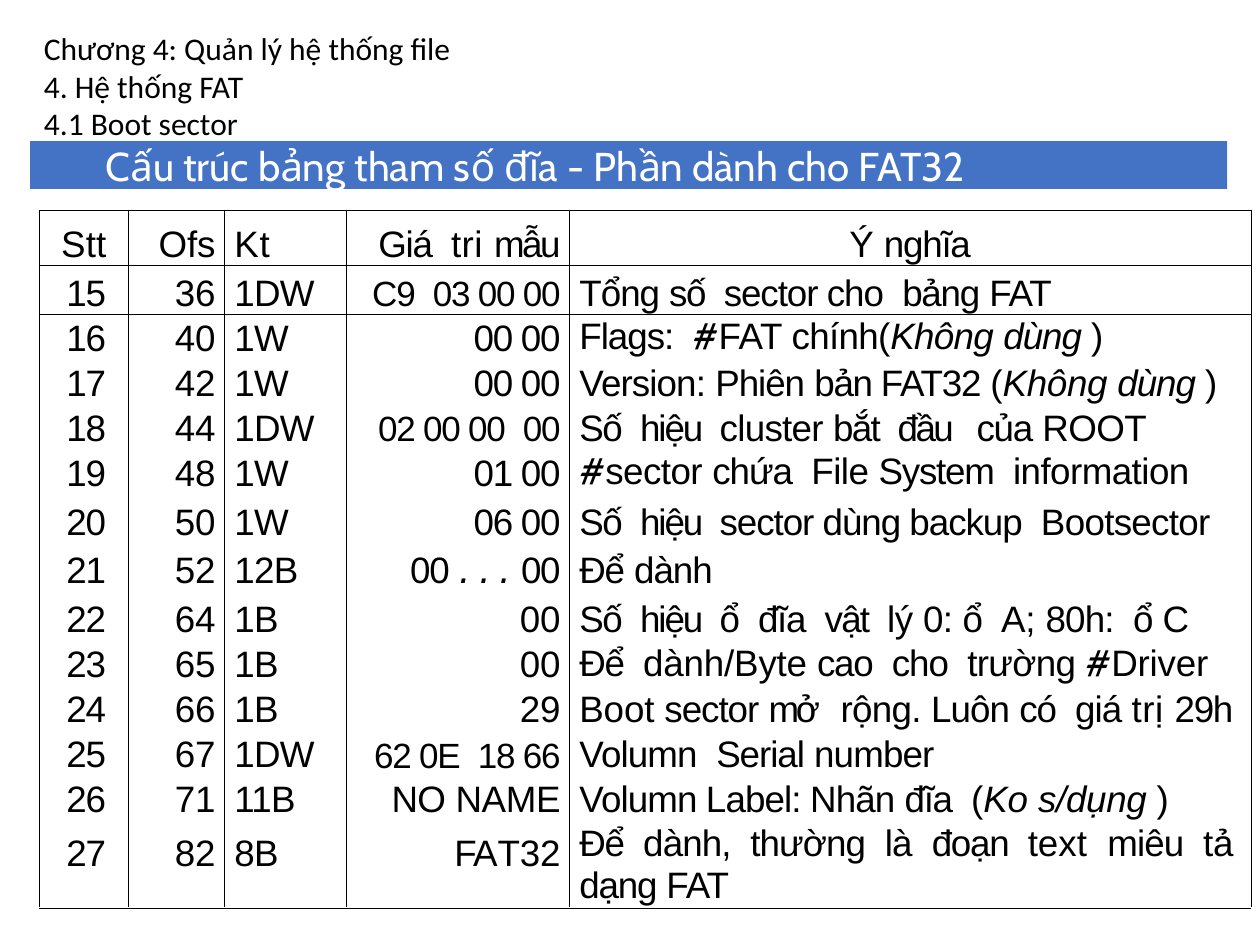
from dataclasses import dataclass
from itertools import groupby

from lxml import etree
from pptx import Presentation
from pptx.dml.color import RGBColor
from pptx.enum.shapes import MSO_CONNECTOR, MSO_SHAPE
from pptx.enum.text import MSO_ANCHOR, PP_ALIGN
from pptx.oxml.ns import qn
from pptx.util import Inches, Pt

LEFT, CENTER, RIGHT = PP_ALIGN.LEFT, PP_ALIGN.CENTER, PP_ALIGN.RIGHT
BOTTOM, MIDDLE = MSO_ANCHOR.BOTTOM, MSO_ANCHOR.MIDDLE
RECTANGLE, STRAIGHT = MSO_SHAPE.RECTANGLE, MSO_CONNECTOR.STRAIGHT
BLANK_LAYOUT = 6
GRID_COLUMNS, GRID_ROWS = 100, 75
SPACE_SHARE = 0.278


@dataclass(frozen=True)
class Theme:
    """Colours, typefaces and type sizes of the slide."""

    ink: str = "000000"
    paper: str = "FFFFFF"
    band: str = "4472C4"
    heading_face: str = "Calibri"
    title_face: str = "Cabin"
    body_face: str = "Arial"
    dots_face: str = "DejaVu Sans"
    heading_size: float = 18
    title_size: float = 23
    cell_size: float = 21
    bytes_size: float = 20
    cell_leading: float = 12
    border: float = 0.5
    rule: float = 0.4


HEADINGS = ["Chương 4: Quản lý hệ thống file", "4. Hệ thống FAT", "4.1 Boot sector"]
TITLE = "Cấu trúc bảng tham số đĩa - Phần dành cho FAT32"
COLUMN_WIDTHS = [7.1, 7.6, 9.7, 17.7, 54.1]
ROW_SHARES = [0.44, 0.39] + [0.36] * 4 + [0.39] * 3 + [0.36] * 4 + [0.69]
ALIGNMENTS = [CENTER, RIGHT, LEFT, RIGHT, LEFT]
INDENTS = [0.04, 0, 0.08, 0, 0.08]
HEADER = [
    [("Stt", 0.1)],
    [("Ofs", -0.1)],
    [("Kt", 0.5)],
    [("Giá_ ", -0.7), ("tri ", 0.3), ("mẫu", -1.4)],
    [("Ý ", -0.1), ("nghĩa", -0.7)],
]
FIELDS = [
    ("15", "36", "1DW", [("C9_ 03 00 00", -0.7)],
     [[("Tổng ", -0.6), ("số_ ", -0.9), ("sector cho_ ", -0.6), ("bảng ", -0.7), ("FAT", -0.6)]]),
    ("16", "40", "1W", [("00 00", -0.7)],
     [[("Flags:_ ", -0.6), ("#", -0.2, "mark"), ("FAT ", -0.2), ("chính(", -0.4),
       ("Không ", -0.4, "italic"), ("dùng ", -0.6, "italic"), (")", 0.5)]]),
    ("17", "42", "1W", [("00 00", -0.7)],
     [[("Version: ", -0.5), ("Phiên ", -0.6), ("bản FAT32 ", -0.7), ("(", -0.2),
       ("Không ", -0.2, "italic"), ("dùng ", -0.6, "italic"), (")", 0.5)]]),
    ("18", "44", "1DW", [("02 00 00_ 00", -0.7)],
     [[("Số_ ", -0.9), ("hiệu_ ", -1.2), ("cluster ", -0.4), ("bắt_ ", -1), ("đầu__ ", -1.5),
       ("của ", -0.7), ("ROOT", -0.3)]]),
    ("19", "48", "1W", [("01 00", -0.7)],
     [[("#", -0.3, "mark"), ("sector ", -0.3), ("chứa_ ", -0.6), ("File ", -0.3),
       ("System_ ", -0.7), ("information", -0.3)]]),
    ("20", "50", "1W", [("06 00", -0.7)],
     [[("Số_ ", -0.9), ("hiệu_ ", -1.2), ("sector dùng backup_ ", -0.6), ("Bootsector", -0.4)]]),
    ("21", "52", "12B", [("00 ", -0.7), (". . . ", -0.9, "dots"), ("00", -0.7)],
     [[("Để ", -0.7), ("dành", -0.6)]]),
    ("22", "64", "1B", [("00", -0.1)],
     [[("Số_ ", -0.9), ("hiệu_ ", -1.2), ("ổ_ đĩa_ ", -0.7), ("vật_ ", -1), ("lý ", -0.2),
       ("0: ", -0.4), ("ổ_ ", -0.7), ("A; ", -0.1), ("80h:_ ", -0.5), ("ổ ", -0.7), ("C", -0.9)]]),
    ("23", "65", "1B", [("00", -0.1)],
     [[("Để_ ", -0.7), ("dành/Byte ", -0.1), ("cao_ ", -0.7), ("cho_ ", -0.6),
       ("trường ", -0.4), ("#", -0.1, "mark"), ("Driver", -0.1)]]),
    ("24", "66", "1B", [("29", -0.1)],
     [[("Boot ", -0.1), ("sector ", -0.6), ("mở__ ", -1.9), ("rộng. ", -0.4), ("Luôn ", -0.5),
       ("có_ ", -0.7), ("giá ", -0.5), ("trị ", 0.3), ("29h", -0.7)]]),
    ("25", "67", "1DW", [("62 0E_ 18 66", -0.7)],
     [[("Volumn_ ", -0.5), ("Serial ", -0.6), ("number", -0.5)]]),
    ("26", "71", "11B", [("NO ", -0.4), ("NAME", -0.2)],
     [[("Volumn Label: Nhãn ", -0.5), ("đĩa_ ", -0.7), ("(", -0.1),
       ("Ko ", -0.1, "italic"), ("s/dụng ", -0.2, "italic"), (")", 0.5)]]),
    ("27", "82", "8B", [("FA", -0.9), ("T32", -0.1)],
     [[("Để_ ", -0.7), ("dành,_ thường_ ", -0.5), ("là_ ", -0.4), ("đoạn_ ", -0.7),
       ("text_ ", 0), ("miêu_ ", -0.5), ("tả", -0.1)],
      [("dạng ", -0.7), ("FAT", -0.6)]]),
]


class SlideBuilder:
    """Holds the theme and the current slide, and draws each kind of element."""

    def __init__(self, deck, theme):
        self.theme = theme
        self.column = deck.slide_width / GRID_COLUMNS
        self.row = deck.slide_height / GRID_ROWS
        self.page = deck.slides.add_slide(deck.slide_layouts[BLANK_LAYOUT])

    def place(self, left, top, width, height):
        """Turn grid units into slide lengths."""
        return (round(left * self.column), round(top * self.row),
                round(width * self.column), round(height * self.row))

    def span(self, para, text, size, face, colour, tracking=0, italic=False):
        """Add one run to a paragraph."""
        span = para.add_run()
        span.text = text
        span.font.size, span.font.name, span.font.italic = Pt(size), face, italic
        span.font.color.rgb = RGBColor.from_string(colour)
        span._r.get_or_add_rPr().set("spc", str(round(tracking * 100)))

    def tracked(self, para, size, text, tracking, style="plain"):
        """Add a tracked cell run, where each underscore widens the next space."""
        theme = self.theme
        face = {"mark": theme.title_face, "dots": theme.dots_face}.get(style, theme.body_face)
        italic = style in ("italic", "dots")
        extra = 0
        for is_gap, letters in groupby(text, lambda letter: letter == "_"):
            piece = "".join(letters)
            if is_gap:
                extra = len(piece)
                continue
            if extra:
                wide = (extra + 1) * tracking + extra * SPACE_SHARE * size
                self.span(para, " ", size, face, theme.ink, wide, italic)
                piece = piece[1:]
            if piece:
                self.span(para, piece, size, face, theme.ink, tracking, italic)

    def headings(self, lines, *area):
        """Add the chapter headings, one paragraph a line."""
        frame = self.page.shapes.add_textbox(*self.place(*area)).text_frame
        frame.word_wrap = True
        for index, line in enumerate(lines):
            para = frame.add_paragraph() if index else frame.paragraphs[0]
            self.span(para, line, self.theme.heading_size, self.theme.heading_face, self.theme.ink)

    def banner(self, title, *area):
        """Add the coloured title band."""
        box = self.page.shapes.add_shape(RECTANGLE, *self.place(*area))
        box.shadow.inherit = False
        box.fill.solid()
        box.fill.fore_color.rgb = RGBColor.from_string(self.theme.band)
        box.line.fill.background()
        box.text_frame.vertical_anchor = MIDDLE
        para = box.text_frame.paragraphs[0]
        para.alignment = LEFT
        para._p.get_or_add_pPr().set("marL", str(Inches(0.5)))
        self.span(para, title, self.theme.title_size, self.theme.title_face, self.theme.paper)

    def rule(self, left, top, width):
        """Add a thin horizontal line."""
        x, y, length, _ = self.place(left, top, width, 0)
        line = self.page.shapes.add_connector(STRAIGHT, x, y, x + length, y)
        line.line.width = Pt(self.theme.rule)
        line.line.color.rgb = RGBColor.from_string(self.theme.ink)
        etree.SubElement(line._element.spPr, qn("a:effectLst"))

    def borders(self, cell, drawn):
        """Draw the named sides of a cell and clear the others."""
        properties = cell._tc.get_or_add_tcPr()
        for index, side in enumerate(("L", "R", "T", "B")):
            edge = etree.Element(qn(f"a:ln{side}"), w=str(Pt(self.theme.border)))
            properties.insert(index, edge)
            if side in drawn:
                fill = etree.SubElement(edge, qn("a:solidFill"))
                etree.SubElement(fill, qn("a:srgbClr"), val=self.theme.ink)
            else:
                etree.SubElement(edge, qn("a:noFill"))

    def cell(self, cell, paragraphs, size, alignment, indent, leading):
        """Fill one table cell with tracked paragraphs."""
        cell.fill.background()
        cell.margin_left = cell.margin_top = cell.margin_bottom = 0
        cell.margin_right = Inches(0.07 if alignment == RIGHT else 0)
        for index, spans in enumerate(paragraphs):
            para = cell.text_frame.add_paragraph() if index else cell.text_frame.paragraphs[0]
            para.alignment = alignment
            para._p.get_or_add_pPr().set("marL", str(Inches(indent)))
            if leading:
                para.line_spacing = Pt(leading)
            if index:
                para.space_before = Pt(leading)
            for span in spans:
                self.tracked(para, size, *span)

    def table(self, header, fields, *area):
        """Add the parameter table."""
        theme = self.theme
        table = self.page.shapes.add_table(len(fields) + 1, len(header), *self.place(*area)).table
        table.first_row = table.horz_banding = False
        for column, width in zip(table.columns, COLUMN_WIDTHS):
            column.width = round(width * self.column)
        for row, share in zip(table.rows, ROW_SHARES):
            row.height = round(area[3] * self.row * share / sum(ROW_SHARES))
        content = [[[spans] for spans in header]]
        for number, offset, length, value, meaning in fields:
            content.append([[[(number, -0.7)]], [[(offset, -0.1)]], [[(length, -0.4)]],
                            [value], meaning])
        for y, cells in enumerate(content):
            sides = "LR" + ("T" if y <= 2 else "") + ("B" if y <= 1 else "")
            for x, paragraphs in enumerate(cells):
                cell = table.cell(y, x)
                long_bytes = y and x == 3 and cells[2][0][0][0] == "1DW"
                size = theme.bytes_size if long_bytes else theme.cell_size
                alignment = CENTER if y == 0 and x == 4 else ALIGNMENTS[x]
                indent = 0 if y == 0 and alignment == CENTER else INDENTS[x]
                self.cell(cell, paragraphs, size, alignment, indent, theme.cell_leading if y else None)
                cell.vertical_anchor = MIDDLE if y == len(fields) and x < 4 else BOTTOM
                self.borders(cell, sides)


def main():
    """Build the slide and save the deck."""
    deck = Presentation()
    deck.slide_width, deck.slide_height = Inches(10), Inches(7.5)
    builder = SlideBuilder(deck, Theme())
    builder.table(HEADER, FIELDS, 3.1, 16.7, 96.2, 55.3)
    builder.rule(3.1, 72.1, 96.2)
    builder.headings(HEADINGS, 2.5, 1.8, 95.6, 10.1)
    builder.banner(TITLE, 2.4, 11.2, 95, 3.8)
    deck.save("out.pptx")


if __name__ == "__main__":
    main()
